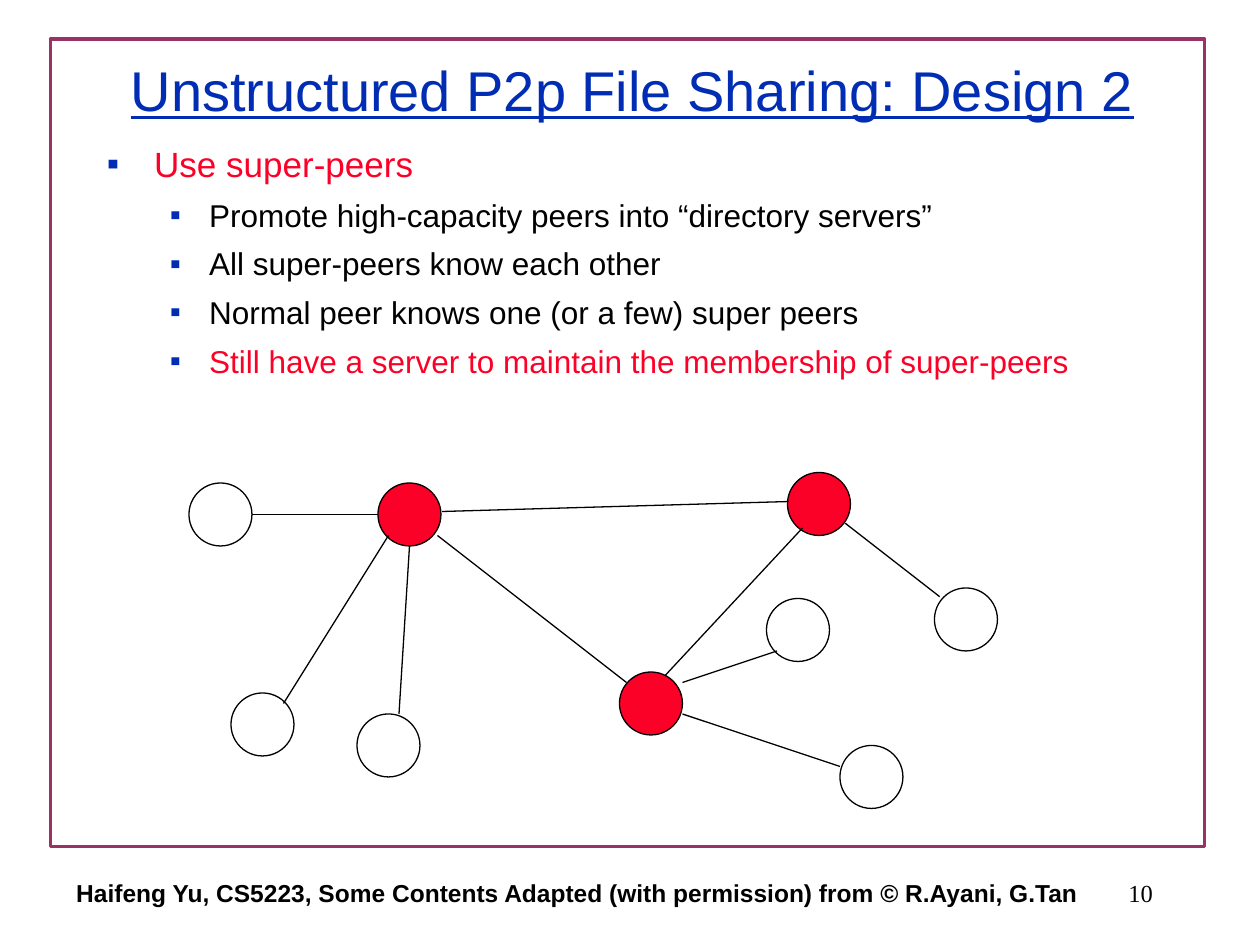
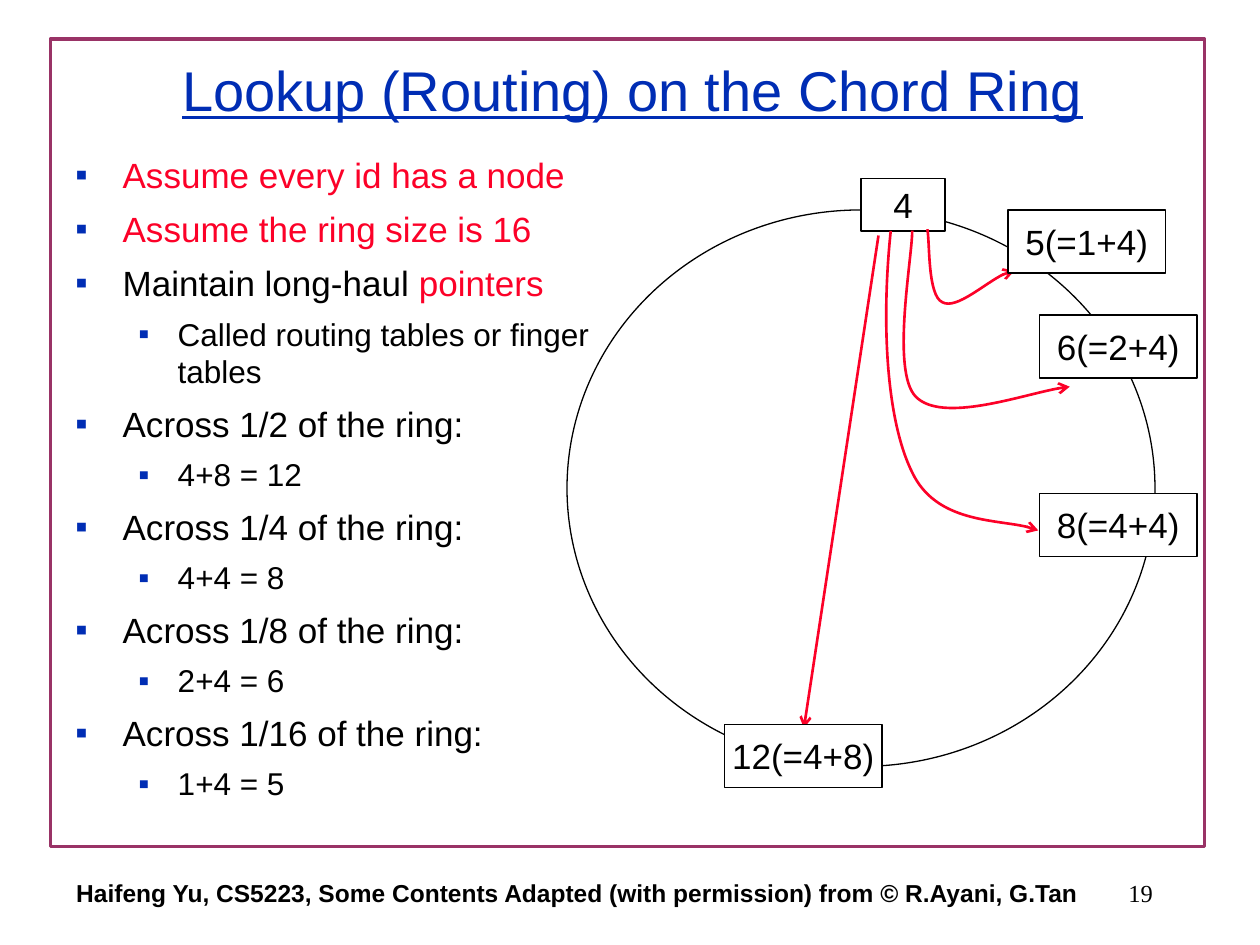
from typing import NamedTuple

from lxml.etree import SubElement
from pptx import Presentation
from pptx.dml.color import RGBColor
from pptx.enum.shapes import MSO_CONNECTOR as Connector, MSO_SHAPE as Preset
from pptx.enum.text import MSO_ANCHOR as Anchor, PP_ALIGN as Align
from pptx.oxml.ns import qn
from pptx.util import Pt

BLUE = RGBColor(0x00, 0x2D, 0xB4)
RED = RGBColor(0xFC, 0x01, 0x28)
BLACK = RGBColor(0x00, 0x00, 0x00)
WHITE = RGBColor(0xFF, 0xFF, 0xFF)
PLUM = RGBColor(0x99, 0x33, 0x66)

SANS = "Arial"
SERIF = "Times New Roman"
CREDIT = "Haifeng Yu, CS5223, Some Contents Adapted (with permission) from © R.Ayani, G.Tan"
PEER_SIZE = 36


class Rect(NamedTuple):
    left: float
    top: float
    width: float
    height: float


class Point(NamedTuple):
    x: float
    y: float


class Style(NamedTuple):
    size: float
    color: RGBColor = BLACK
    font: str = SANS
    bold: bool = False
    underline: bool = False


class Level(NamedTuple):
    size: float
    margin: float
    hanging: float
    space_before: float


class Span(NamedTuple):
    text: str
    color: RGBColor = BLACK


class Bullet(NamedTuple):
    level: int
    spans: tuple[Span, ...]


class Peer(NamedTuple):
    left: float
    top: float
    is_super: bool = False


class Link(NamedTuple):
    start: Point
    end: Point


class Node(NamedTuple):
    label: str
    rect: Rect


LEVELS = (Level(20, 27, 27, 7), Level(18, 58.5, 22.5, 6.25))
TITLE = Style(32, BLUE, underline=True)
FOOTER = Style(14, bold=True)
PAGE_NUMBER = Style(14, font=SERIF)
NODE = Style(20)

FRAME = Rect(28.8, 22.3, 659.5, 461.5)
TITLE_RECT = Rect(55.4, 18, 612, 66)
FOOTER_RECT = Rect(24, 492, 612, 36)
NUMBER_RECT = Rect(516, 492, 150, 36)

SUPER_PEER_BULLETS = (
    Bullet(0, (Span("Use super-peers", RED),)),
    Bullet(1, (Span("Promote high-capacity peers into “directory servers”"),)),
    Bullet(1, (Span("All super-peers know each other"),)),
    Bullet(1, (Span("Normal peer knows one (or a few) super peers"),)),
    Bullet(1, (Span("Still have a server to maintain the membership of super-peers", RED),)),
)

PEERS = (
    Peer(216, 276, True),
    Peer(132, 396),
    Peer(450, 270, True),
    Peer(354, 384, True),
    Peer(204, 408),
    Peer(108, 276),
    Peer(534, 336),
    Peer(480, 426),
    Peer(438, 342),
)

LINKS = (
    Link(Point(144, 294), Point(216, 294)),
    Link(Point(222, 306), Point(162, 402)),
    Link(Point(234, 312), Point(228, 408)),
    Link(Point(250, 306), Point(358, 390)),
    Link(Point(252.7, 292.3), Point(450.7, 286.6)),
    Link(Point(458.6, 301.7), Point(380.2, 385.9)),
    Link(Point(444, 372), Point(390, 390)),
    Link(Point(480, 438), Point(390, 408)),
    Link(Point(483, 299), Point(537, 341)),
)

SHARES = (("1/2", "4+8 = 12"), ("1/4", "4+4 = 8"), ("1/8", "2+4 = 6"), ("1/16", "1+4 = 5"))

RING_BULLETS = (
    Bullet(0, (Span("Assume every id has a node", RED),)),
    Bullet(0, (Span("Assume the ring size is 16", RED),)),
    Bullet(0, (Span("Maintain long-haul "), Span("pointers", RED))),
    Bullet(1, (Span("Called routing tables or finger tables"),)),
) + tuple(
    bullet
    for share, total in SHARES
    for bullet in (
        Bullet(0, (Span(f"Across {share} of the ring:"),)),
        Bullet(1, (Span(total),)),
    )
)

RING = Rect(324, 120, 336, 318)
SOURCE_NODE = Node("4", Rect(492, 102, 48, 30))
TARGET_NODES = (
    Node("12(=4+8)", Rect(414, 414, 90, 36)),
    Node("8(=4+4)", Rect(594, 282, 90, 36)),
    Node("6(=2+4)", Rect(594, 180, 90, 36)),
    Node("5(=1+4)", Rect(576, 120, 90, 36)),
)
HALF_RING_POINTER = Link(Point(502, 134.6), Point(459.4, 416))
CURVED_POINTERS = (
    (Point(509, 132), Point(503.3, 186.5), Point(506.9, 241.2), Point(521.3, 270),
     Point(535, 298.8), Point(578.2, 296.6), Point(593.3, 303.1)),
    (Point(521.3, 131.8), Point(521.3, 147.6), Point(509, 212.4), Point(523.4, 226.8),
     Point(538.6, 241.9), Point(593.3, 222.5), Point(611.3, 221)),
    (Point(529.9, 131), Point(531.4, 138.2), Point(529.9, 169.2), Point(538.6, 172.8),
     Point(546.5, 177.1), Point(571, 154.8), Point(579.6, 154.8)),
)


def in_points(values: tuple) -> list:
    return [Pt(value) for value in values]


def format_span(span, style: Style) -> None:
    span.font.name = style.font
    span.font.size = Pt(style.size)
    span.font.color.rgb = style.color
    span.font.bold = style.bold
    span.font.underline = style.underline


def write_line(box, text: str, style: Style, align: Align, wrap: bool = False) -> None:
    frame = box.text_frame
    frame.text = text
    frame.word_wrap = wrap
    frame.vertical_anchor = Anchor.MIDDLE
    para = frame.paragraphs[0]
    para.alignment = align
    format_span(para.runs[0], style)


def add_label(page, rect: Rect, text: str, style: Style, align: Align, wrap: bool = False) -> None:
    write_line(page.shapes.add_textbox(*in_points(rect)), text, style, align, wrap)


def add_outline(page, preset: Preset, rect: Rect, line: RGBColor = BLACK,
                width: float = 0.75, fill: RGBColor | None = None):
    shape = page.shapes.add_shape(preset, *in_points(rect))
    shape.shadow.inherit = False
    if fill is None:
        shape.fill.background()
    else:
        shape.fill.solid()
        shape.fill.fore_color.rgb = fill
    shape.line.color.rgb = line
    shape.line.width = Pt(width)
    return shape


def add_arrowhead(shape) -> None:
    outline = shape.element.spPr.find(qn("a:ln"))
    SubElement(outline, qn("a:tailEnd"), type="arrow")


def add_link(page, link: Link, color: RGBColor = BLACK, width: float = 0.75):
    line = page.shapes.add_connector(Connector.STRAIGHT, *in_points(link.start + link.end))
    line.line.color.rgb = color
    line.line.width = Pt(width)
    SubElement(line.element.spPr, qn("a:effectLst"))
    return line


def add_curved_pointer(page, points: tuple[Point, ...]) -> None:
    start, *rest = [in_points(point) for point in points]
    builder = page.shapes.build_freeform(*start)
    builder.add_line_segments(rest, close=False)
    curve = builder.convert_to_shape()
    curve.shadow.inherit = False
    curve.fill.background()
    curve.line.color.rgb = RED
    curve.line.width = Pt(1.5)
    add_arrowhead(curve)

    outline = next(curve.element.iter(qn("a:path")))
    segments = outline.findall(qn("a:lnTo"))
    for first in range(0, len(segments), 3):
        bezier = SubElement(outline, qn("a:cubicBezTo"))
        for segment in segments[first:first + 3]:
            bezier.append(segment[0])
            outline.remove(segment)


def add_bullets(page, rect: Rect, bullets: tuple[Bullet, ...]) -> None:
    frame = page.shapes.add_textbox(*in_points(rect)).text_frame
    frame.word_wrap = True
    for index, bullet in enumerate(bullets):
        para = frame.add_paragraph() if index else frame.paragraphs[0]
        level = LEVELS[bullet.level]
        para.level = bullet.level
        para.space_before = Pt(level.space_before if index else 0)
        for piece in bullet.spans:
            span = para.add_run()
            span.text = piece.text
            format_span(span, Style(level.size, piece.color))
        properties = para._p.get_or_add_pPr()
        properties.set("marL", str(Pt(level.margin)))
        properties.set("indent", str(-Pt(level.hanging)))
        SubElement(SubElement(properties, qn("a:buClr")), qn("a:srgbClr"), val=str(BLUE))
        SubElement(properties, qn("a:buFont"), typeface=SANS)
        SubElement(properties, qn("a:buChar"), char="▪")


def add_page(deck, title: str, number: int):
    page = deck.slides.add_slide(deck.slide_layouts[6])
    add_outline(page, Preset.RECTANGLE, FRAME, PLUM, 2)
    add_label(page, NUMBER_RECT, str(number), PAGE_NUMBER, Align.RIGHT)
    add_label(page, FOOTER_RECT, CREDIT, FOOTER, Align.CENTER)
    add_label(page, TITLE_RECT, title, TITLE, Align.CENTER, wrap=True)
    return page


def add_node(page, node: Node) -> None:
    box = add_outline(page, Preset.RECTANGLE, node.rect, fill=WHITE)
    write_line(box, node.label, NODE, Align.CENTER)


def build_super_peer_page(deck) -> None:
    page = add_page(deck, "Unstructured P2p File Sharing: Design 2", 10)
    add_bullets(page, Rect(54, 78, 612, 368), SUPER_PEER_BULLETS)
    for peer in PEERS:
        rect = Rect(peer.left, peer.top, PEER_SIZE, PEER_SIZE)
        add_outline(page, Preset.OVAL, rect, fill=RED if peer.is_super else None)
    for link in LINKS:
        add_link(page, link)


def build_ring_page(deck) -> None:
    page = add_page(deck, "Lookup (Routing) on the Chord Ring", 19)
    add_bullets(page, Rect(36, 84, 318, 368), RING_BULLETS)
    add_outline(page, Preset.OVAL, RING)
    add_node(page, SOURCE_NODE)
    add_arrowhead(add_link(page, HALF_RING_POINTER, RED, 1.5))
    for points in CURVED_POINTERS:
        add_curved_pointer(page, points)
    for node in TARGET_NODES:
        add_node(page, node)


def main() -> None:
    deck = Presentation()
    deck.slide_width, deck.slide_height = Pt(720), Pt(540)
    build_super_peer_page(deck)
    build_ring_page(deck)
    deck.save("out.pptx")


if __name__ == "__main__":
    main()
